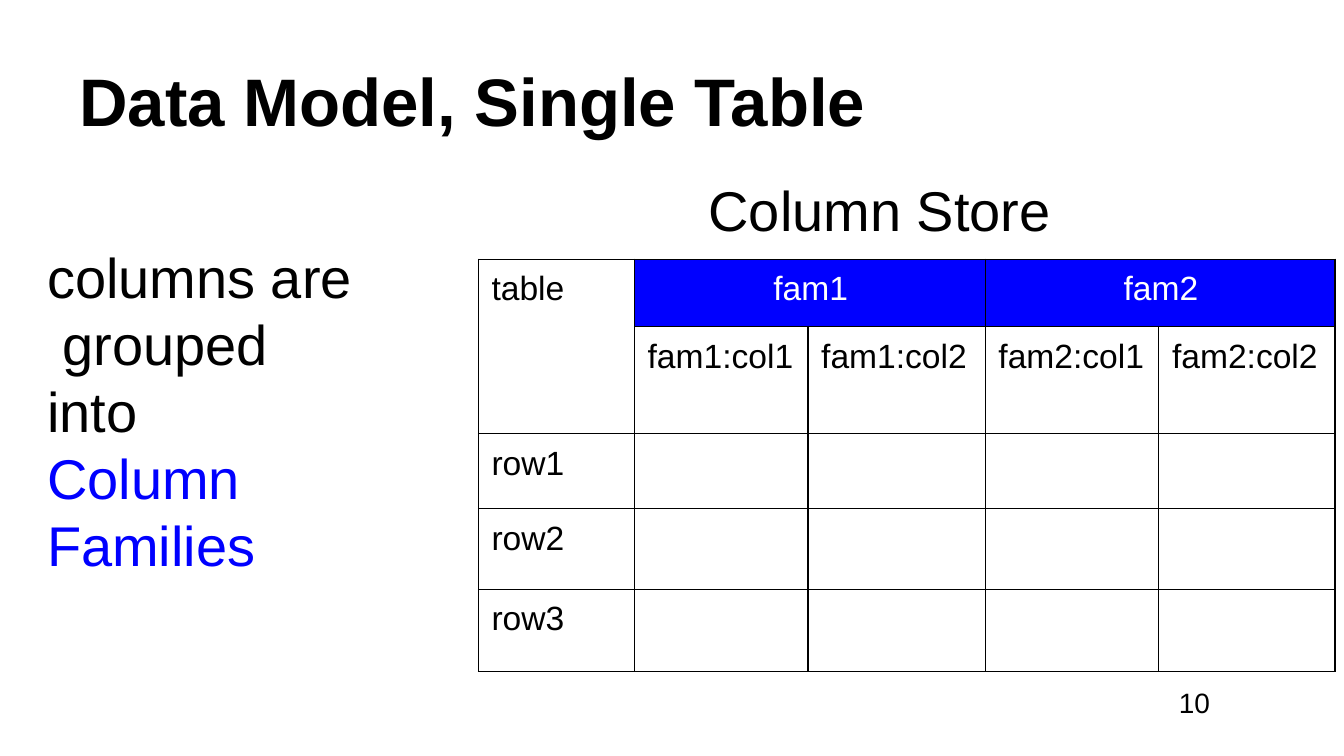
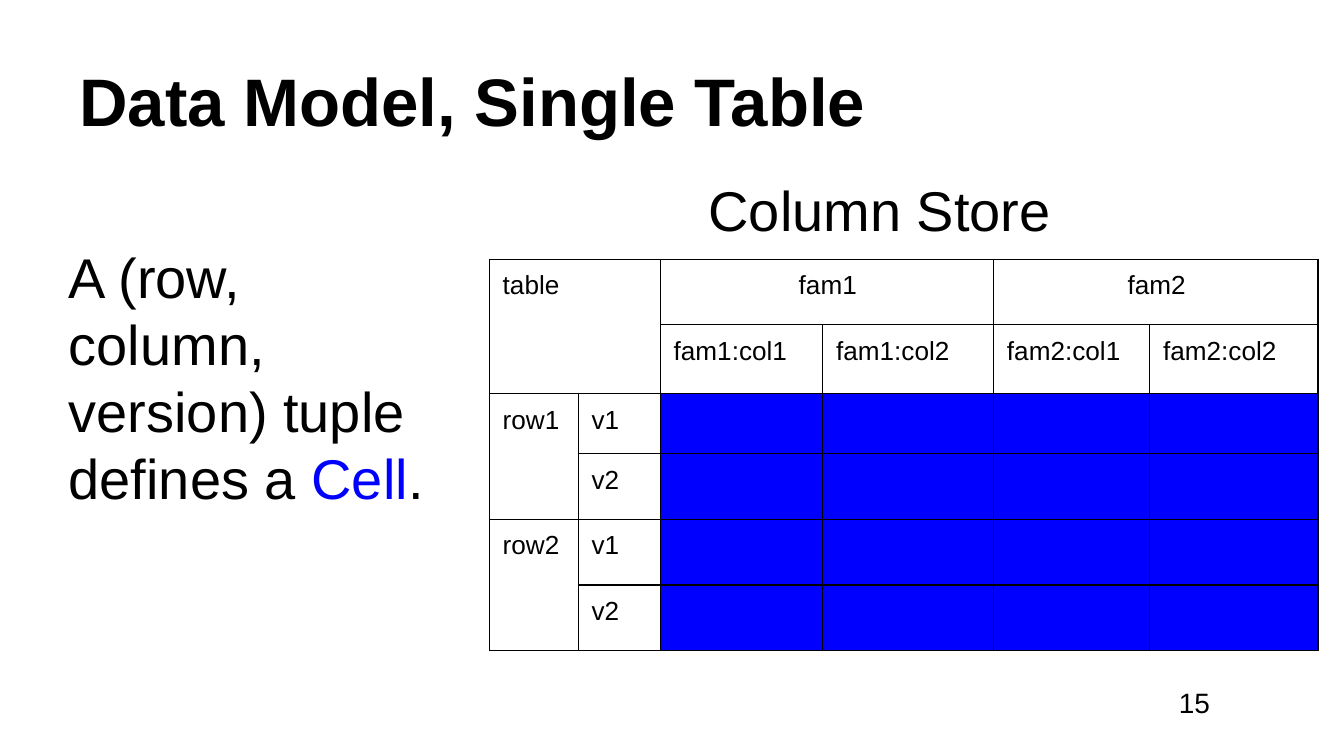
from lxml import etree
from pptx import Presentation
from pptx.dml.color import RGBColor
from pptx.enum.text import MSO_ANCHOR, MSO_AUTO_SIZE, PP_ALIGN
from pptx.oxml.ns import qn
from pptx.util import Cm, Pt

# Shared style
FONT = "Arial"
BLACK, WHITE, BLUE = "000000", "FFFFFF", "0000FF"
TITLE = "Data Model, Single Table"
HEADING = "Column Store"
TABLE_TOP = 4.9
COLUMN_NAMES = ["fam1:col1", "fam1:col2", "fam2:col1", "fam2:col2"]


def rgb(color):
    return RGBColor.from_string(color)


def style(p, size, color=BLACK, bold=False, align=PP_ALIGN.LEFT):
    p.alignment = align
    p.font.name = FONT
    p.font.size = Pt(size)
    p.font.bold = bold
    p.font.color.rgb = rgb(color)


def set_frame(sp, left=0.03, top=0.03):
    tf = sp.text_frame
    tf.word_wrap = True
    tf.auto_size = MSO_AUTO_SIZE.SHAPE_TO_FIT_TEXT
    tf.vertical_anchor = MSO_ANCHOR.TOP
    tf.margin_left, tf.margin_top = Cm(left), Cm(top)
    tf.margin_right = tf.margin_bottom = 0
    return tf


def add_text(s, box, lines, size, left=0.03, top=0.03):
    """Each line is a list of (text, color) runs."""
    tf = set_frame(s.shapes.add_textbox(*map(Cm, box)), left, top)
    p = tf.paragraphs[0]
    style(p, size)
    for i, line in enumerate(lines):
        if i:
            p.add_line_break()
        for text, color in line:
            r = p.add_run()
            r.text = text
            if color != BLACK:
                r.font.color.rgb = rgb(color)
    return p


def add_base_slide(prs, number):
    """Title, table heading and page number."""
    s = prs.slides.add_slide(prs.slide_layouts[5])
    title = s.shapes.title
    title.left, title.top, title.width, title.height = map(
        Cm, (1.47, 1.09, 15.01, 1.6))
    tf = set_frame(title)
    tf.text = TITLE
    p = tf.paragraphs[0]
    style(p, 36, bold=True)
    p.space_before = Pt(1)

    p = add_text(s, (22.2, 12.98, 0.74, 0.66), [[(number, BLACK)]], 15, 0.08, 0)
    p.line_spacing = Pt(17.6)
    p = add_text(s, (13.36, 3.28, 7.11, 1.35), [[(HEADING, BLACK)]], 30)
    p.space_before = Pt(1)
    return s


def add_borders(cell):
    tc_pr = cell._tc.get_or_add_tcPr()
    for i, side in enumerate(("lnL", "lnR", "lnT", "lnB")):
        ln = etree.Element(qn("a:" + side), w=str(Pt(0.75)))
        fill = etree.SubElement(ln, qn("a:solidFill"))
        etree.SubElement(fill, qn("a:srgbClr"), val=BLACK)
        tc_pr.insert(i, ln)


def add_grid(s, left, widths, heights, rows, merges, blue, size, top):
    """Bordered table; blue holds the (row, column) positions to fill."""
    frame = s.shapes.add_table(
        len(rows), len(widths), Cm(left), Cm(TABLE_TOP),
        Cm(sum(widths)), Cm(sum(heights)))
    table = frame.table
    table.first_row = table.horz_banding = False
    for col, width in zip(table.columns, widths):
        col.width = Cm(width)
    for row, height in zip(table.rows, heights):
        row.height = Cm(height)

    for i, row in enumerate(rows):
        for j, text in enumerate(row):
            cell = table.cell(i, j)
            if (i, j) in blue:
                cell.fill.solid()
                cell.fill.fore_color.rgb = rgb(BLUE)
            else:
                cell.fill.background()
            add_borders(cell)
            family = text in ("fam1", "fam2")
            cell.margin_left = Cm(0.03 if family else 0.25)
            cell.margin_top = Cm(top)
            cell.margin_right = cell.margin_bottom = 0
            cell.text = text
            p = cell.text_frame.paragraphs[0]
            style(p, size, WHITE if (i, j) in blue else BLACK,
                  align=PP_ALIGN.CENTER if family else PP_ALIGN.LEFT)
            if text:
                p.space_before = Pt(6)

    for first, last in merges:
        table.cell(*first).merge(table.cell(*last))


def column_families(prs):
    s = add_base_slide(prs, "10")
    rows = [["table", "fam1", "", "fam2", ""], [""] + COLUMN_NAMES]
    rows += [[f"row{n}"] + [""] * 4 for n in (1, 2, 3)]
    add_grid(
        s, 9.04, [2.95, 3.28, 3.35, 3.28, 3.33], [1.27, 2.03, 1.42, 1.52, 1.55],
        rows,
        merges=[((0, 0), (1, 0)), ((0, 1), (0, 2)), ((0, 3), (0, 4))],
        blue={(0, j) for j in range(1, 5)}, size=18, top=0.21)
    p = add_text(s, (0.86, 4.55, 5.94, 5.16), [
        [("columns are", BLACK)], [(" grouped", BLACK)], [("into", BLACK)],
        [("Column", BLUE)], [("Families", BLUE)]], 30)
    p.space_before = Pt(1)


def cells(prs):
    s = add_base_slide(prs, "15")
    rows = [["table", "", "fam1", "", "fam2", ""], ["", ""] + COLUMN_NAMES]
    for name in ("row1", "row2"):
        rows += [[name, "v1"] + [""] * 4, ["", "v2"] + [""] * 4]
    add_grid(
        s, 9.25, [1.68, 1.55, 3.07, 3.23, 2.95, 3.18],
        [1.24, 1.3, 1.14, 1.24, 1.24, 1.24], rows,
        merges=[((0, 0), (1, 1)), ((0, 2), (0, 3)), ((0, 4), (0, 5)),
                ((2, 0), (3, 0)), ((4, 0), (5, 0))],
        blue={(i, j) for i in range(2, 6) for j in range(2, 6)},
        size=14, top=0.22)
    p = add_text(s, (1.27, 4.55, 6.78, 5.16), [
        [("A (row,", BLACK)], [("column,", BLACK)], [("version) tuple", BLACK)],
        [("defines a ", BLACK), ("Cell", BLUE), (".", BLACK)]], 30)
    p.space_before = Pt(1)


def main():
    prs = Presentation()
    prs.slide_width, prs.slide_height = Cm(25.4), Cm(14.29)
    column_families(prs)
    cells(prs)
    prs.save("out.pptx")


main()
